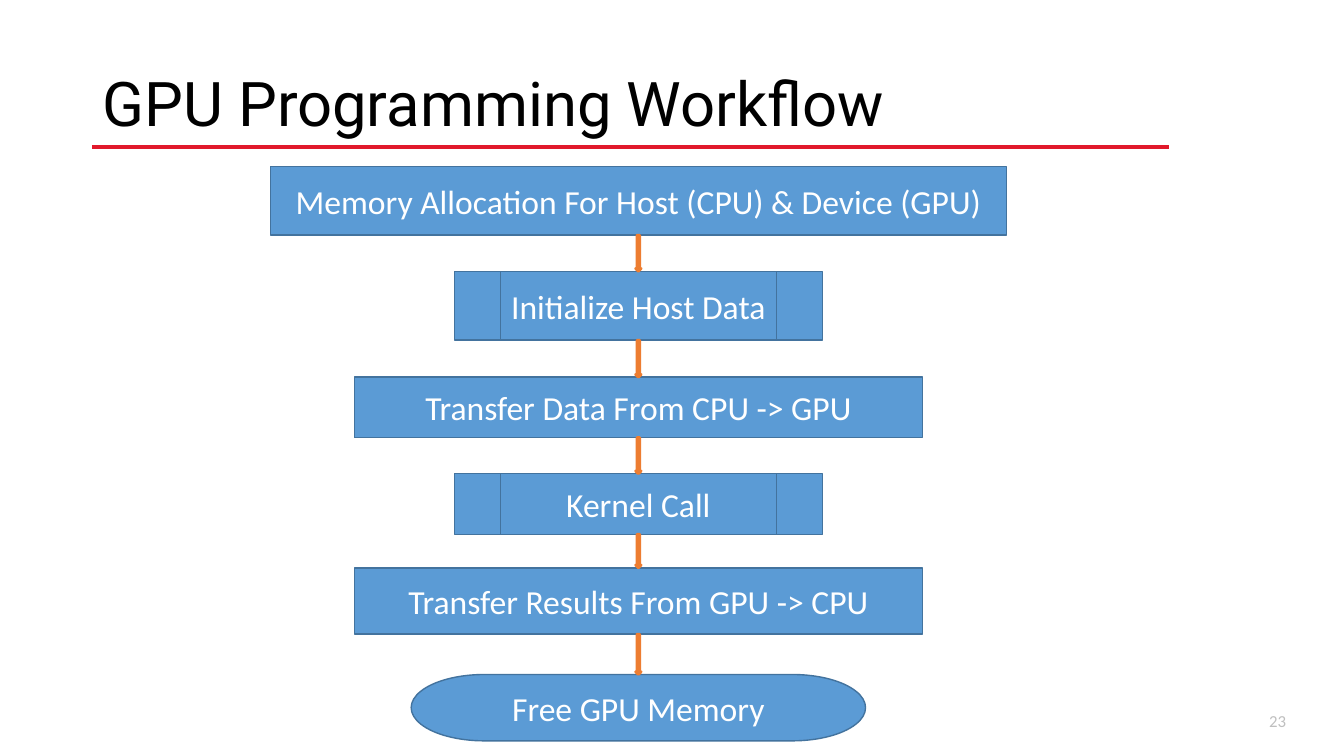
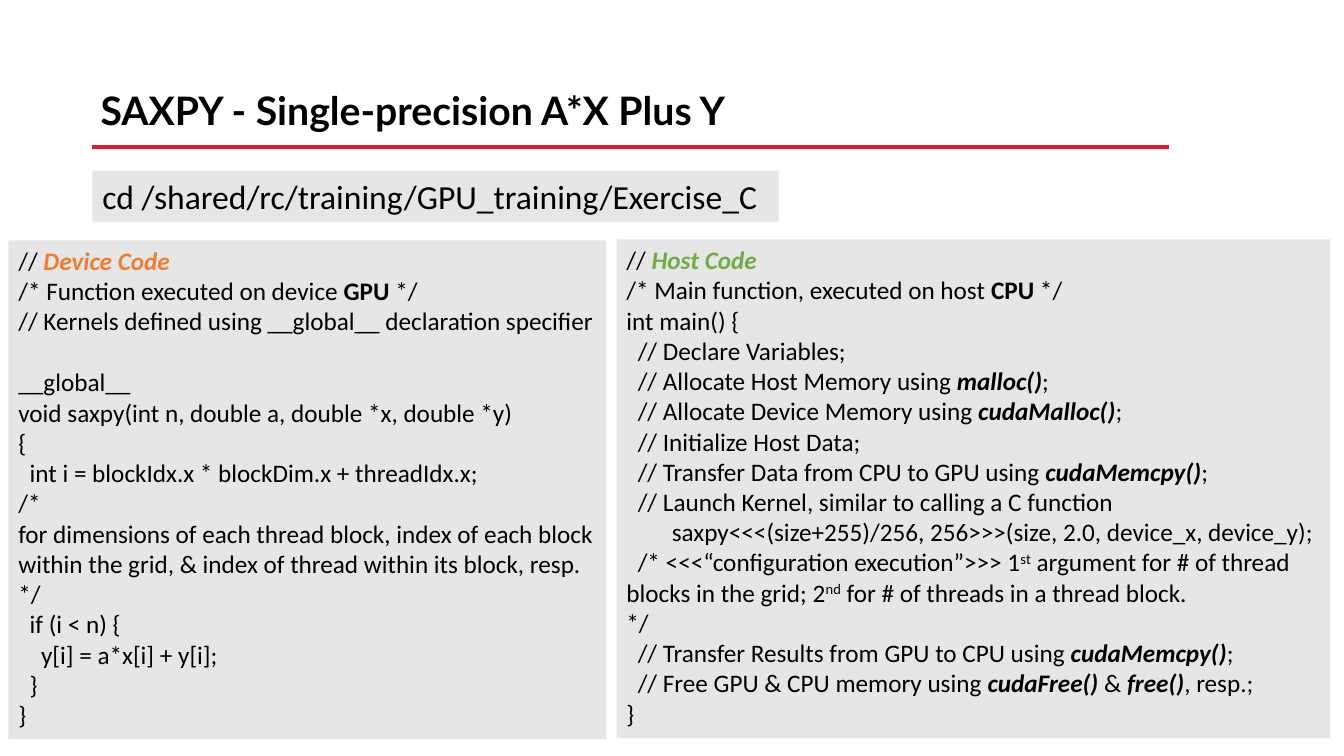
import itertools
from dataclasses import dataclass

import lxml.etree
import pptx
import pptx.dml.color
import pptx.enum.shapes
import pptx.enum.text
import pptx.oxml.ns
import pptx.util

COLUMNS, ROWS = 160, 90
CELL = pptx.util.Inches(1) // 12
FLOW_CENTER = 76
INDENT_STEP = 1.35

COLORS = {
    "text": "000000",
    "white": "FFFFFF",
    "rule": "E1192B",
    "number": "BFBFBF",
    "step": "5B9BD5",
    "step_line": "43739E",
    "orange": "ED7D31",
    "green": "70AD47",
    "panel": "E7E6E6",
}

MSO_SHAPE = pptx.enum.shapes.MSO_SHAPE
ALIGN = pptx.enum.text.PP_ALIGN
ANCHOR = pptx.enum.text.MSO_ANCHOR


@dataclass(frozen=True)
class Area:
    """A rectangle in grid columns and rows."""
    left: float
    top: float
    width: float
    height: float


@dataclass(frozen=True)
class TextStyle:
    size: float
    font: str = "Calibri"
    color: str = "text"
    bold: bool = False
    align: ALIGN = ALIGN.LEFT
    anchor: ANCHOR = ANCHOR.TOP
    line_spacing: float = 1.0


@dataclass(frozen=True)
class Span:
    text: str
    color: str = ""
    bold: bool = False
    italic: bool = False
    raised: bool = False


@dataclass(frozen=True)
class Line:
    """A paragraph; indent counts code levels and applies to its first row."""
    spans: tuple[Span, ...]
    indent: int = 0
    space_before: float = 0


@dataclass(frozen=True)
class Step:
    text: str
    preset: MSO_SHAPE
    top: float
    width: float
    height: float


TITLE_STYLE = TextStyle(44, "Roboto", anchor=ANCHOR.MIDDLE, line_spacing=0.9)
TOPIC_STYLE = TextStyle(28, "Lato", bold=True, line_spacing=0.9)
NUMBER_STYLE = TextStyle(12, color="number", align=ALIGN.RIGHT, anchor=ANCHOR.MIDDLE)
STEP_STYLE = TextStyle(24, color="white", align=ALIGN.CENTER, anchor=ANCHOR.MIDDLE)
COMMAND_STYLE = TextStyle(24)
CODE_STYLE = TextStyle(18)

STEPS = (
    Step("Memory Allocation For Host (CPU) & Device (GPU)",
         MSO_SHAPE.FLOWCHART_PROCESS, 19.8, 87.6, 8.2),
    Step("Initialize Host Data",
         MSO_SHAPE.FLOWCHART_PREDEFINED_PROCESS, 32.3, 43.8, 8.2),
    Step("Transfer Data From CPU -> GPU",
         MSO_SHAPE.FLOWCHART_PROCESS, 44.9, 67.6, 7.2),
    Step("Kernel Call",
         MSO_SHAPE.FLOWCHART_PREDEFINED_PROCESS, 56.4, 43.8, 7.2),
    Step("Transfer Results From GPU -> CPU",
         MSO_SHAPE.FLOWCHART_PROCESS, 67.6, 67.6, 7.9),
    Step("Free GPU Memory",
         MSO_SHAPE.FLOWCHART_TERMINATOR, 80.3, 54.1, 7.9),
)


def line(*parts: str | Span, indent: int = 0, space_before: float = 0) -> Line:
    spans = tuple(Span(part) if isinstance(part, str) else part for part in parts)
    return Line(spans, indent, space_before)


def strong(text: str) -> Span:
    return Span(text, bold=True)


def call(text: str, color: str = "") -> Span:
    return Span(text, color, bold=True, italic=True)


def raised(text: str) -> Span:
    return Span(text, raised=True)


DEVICE_CODE = (
    line("// ", call("Device Code", "orange")),
    line("/* Function executed on device ", strong("GPU"), " */"),
    line("// Kernels defined using __global__ declaration specifier"),
    line("__global__", space_before=22),
    line("void saxpy(int n, double a, double *x, double *y)"),
    line("{"),
    line("int i = blockIdx.x * blockDim.x + threadIdx.x;", indent=1),
    line("/*"),
    line("for dimensions of each thread block, index of each block within the grid, "
         "& index of thread within its block, resp."),
    line("*/"),
    line("if (i < n) {", indent=1),
    line("y[i] = a*x[i] + y[i];", indent=2),
    line("}", indent=1),
    line("}"),
)

HOST_CODE = (
    line("// ", call("Host Code", "green")),
    line("/* Main function, executed on host ", strong("CPU"), " */"),
    line("int main() {"),
    line("// Declare Variables;", indent=1),
    line("// Allocate Host Memory using ", call("malloc()"), ";", indent=1),
    line("// Allocate Device Memory using ", call("cudaMalloc()"), ";", indent=1),
    line("// Initialize Host Data;", indent=1),
    line("// Transfer Data from CPU to GPU using ", call("cudaMemcpy()"), ";", indent=1),
    line("// Launch Kernel, similar to calling a C function", indent=1),
    line("saxpy<<<(size+255)/256, 256>>>(size, 2.0, device_x, device_y);", indent=4),
    line("/* <<<“configuration execution”>>> 1", raised("st"),
         " argument for # of thread blocks in the grid; 2", raised("nd"),
         " for # of threads in a thread block.", indent=1),
    line("*/"),
    line("// Transfer Results from GPU to CPU using ", call("cudaMemcpy()"), ";", indent=1),
    line("// Free GPU & CPU memory using ", call("cudaFree() "), "& ", call("free()"),
         ", resp.;", indent=1),
    line("}"),
)


def grid(cells: float) -> pptx.util.Emu:
    return pptx.util.Emu(round(cells * CELL))


def place(area: Area) -> tuple[pptx.util.Emu, ...]:
    return tuple(map(grid, (area.left, area.top, area.width, area.height)))


def rgb(name: str) -> pptx.dml.color.RGBColor:
    return pptx.dml.color.RGBColor.from_string(COLORS[name])


def write(shape, lines: tuple[Line, ...], style: TextStyle) -> None:
    frame = shape.text_frame
    frame.word_wrap = True
    frame.vertical_anchor = style.anchor
    for index, content in enumerate(lines):
        paragraph = frame.add_paragraph() if index else frame.paragraphs[0]
        paragraph.alignment = style.align
        paragraph.line_spacing = style.line_spacing
        paragraph.space_before = pptx.util.Pt(content.space_before)
        if content.indent:
            properties = paragraph._p.get_or_add_pPr()
            properties.set("marL", "0")
            properties.set("indent", str(grid(content.indent * INDENT_STEP)))
        for span in content.spans:
            run = paragraph.add_run()
            run.text = span.text
            run.font.name = style.font
            run.font.size = pptx.util.Pt(style.size)
            run.font.bold = style.bold or span.bold
            run.font.italic = span.italic
            run.font.color.rgb = rgb(span.color or style.color)
            if span.raised:
                run._r.get_or_add_rPr().set("baseline", "30000")


def add_text(slide, area: Area, text: str, style: TextStyle) -> None:
    write(slide.shapes.add_textbox(*place(area)), (line(text),), style)


def add_block(slide, preset: MSO_SHAPE, area: Area, fill: str,
              outline: str = "", weight: float = 1):
    shape = slide.shapes.add_shape(preset, *place(area))
    shape.shadow.inherit = False
    shape.fill.solid()
    shape.fill.fore_color.rgb = rgb(fill)
    if outline:
        shape.line.color.rgb = rgb(outline)
        shape.line.width = pptx.util.Pt(weight)
    else:
        shape.line.fill.background()
    return shape


def add_panel(slide, area: Area, lines: tuple[Line, ...], style: TextStyle) -> None:
    write(add_block(slide, MSO_SHAPE.RECTANGLE, area, "panel"), lines, style)


def add_ruled_slide(presentation, title: str, area: Area, style: TextStyle):
    """Add a blank slide with the shared red rule and its heading."""
    slide = presentation.slides.add_slide(presentation.slide_layouts[6])
    rule = slide.shapes.add_connector(
        pptx.enum.shapes.MSO_CONNECTOR.STRAIGHT,
        grid(11), grid(17.5), grid(139.2), grid(17.5))
    rule.line.color.rgb = rgb("rule")
    rule.line.width = pptx.util.Pt(2.25)
    lxml.etree.SubElement(rule._element.spPr, pptx.oxml.ns.qn("a:effectLst"))
    add_text(slide, area, title, style)
    return slide


def build_workflow(presentation) -> None:
    slide = add_ruled_slide(presentation, "GPU Programming Workflow",
                            Area(11, 4, 138, 17.4), TITLE_STYLE)
    add_text(slide, Area(118.3, 83.4, 36, 4.8), "23", NUMBER_STYLE)
    for step in STEPS:
        area = Area(FLOW_CENTER - step.width / 2, step.top, step.width, step.height)
        shape = add_block(slide, step.preset, area, "step", "step_line")
        shape.text_frame.margin_left = shape.text_frame.margin_right = grid(0.5)
        write(shape, (line(step.text),), STEP_STYLE)
    arrow_width = 0.65
    for index, (upper, lower) in enumerate(itertools.pairwise(STEPS)):
        bottom = upper.top + upper.height
        area = Area(FLOW_CENTER - arrow_width / 2, bottom, arrow_width, lower.top - bottom)
        add_block(slide, MSO_SHAPE.DOWN_ARROW, area,
                  "step" if index else "green", "orange", 2)


def build_saxpy(presentation) -> None:
    slide = add_ruled_slide(presentation, "SAXPY - Single-precision A*X Plus Y",
                            Area(10.8, 10.3, 138, 6.5), TOPIC_STYLE)
    add_panel(slide, Area(11, 20.3, 81.7, 6.1),
              (line("cd /shared/rc/training/GPU_training/Exercise_C"),), COMMAND_STYLE)
    add_panel(slide, Area(1, 28.6, 71.2, 59.4), DEVICE_CODE, CODE_STYLE)
    add_panel(slide, Area(73.4, 28.5, 85, 59.4), HOST_CODE, CODE_STYLE)


def main() -> None:
    presentation = pptx.Presentation()
    presentation.slide_width = grid(COLUMNS)
    presentation.slide_height = grid(ROWS)
    build_workflow(presentation)
    build_saxpy(presentation)
    presentation.save("out.pptx")


if __name__ == "__main__":
    main()
